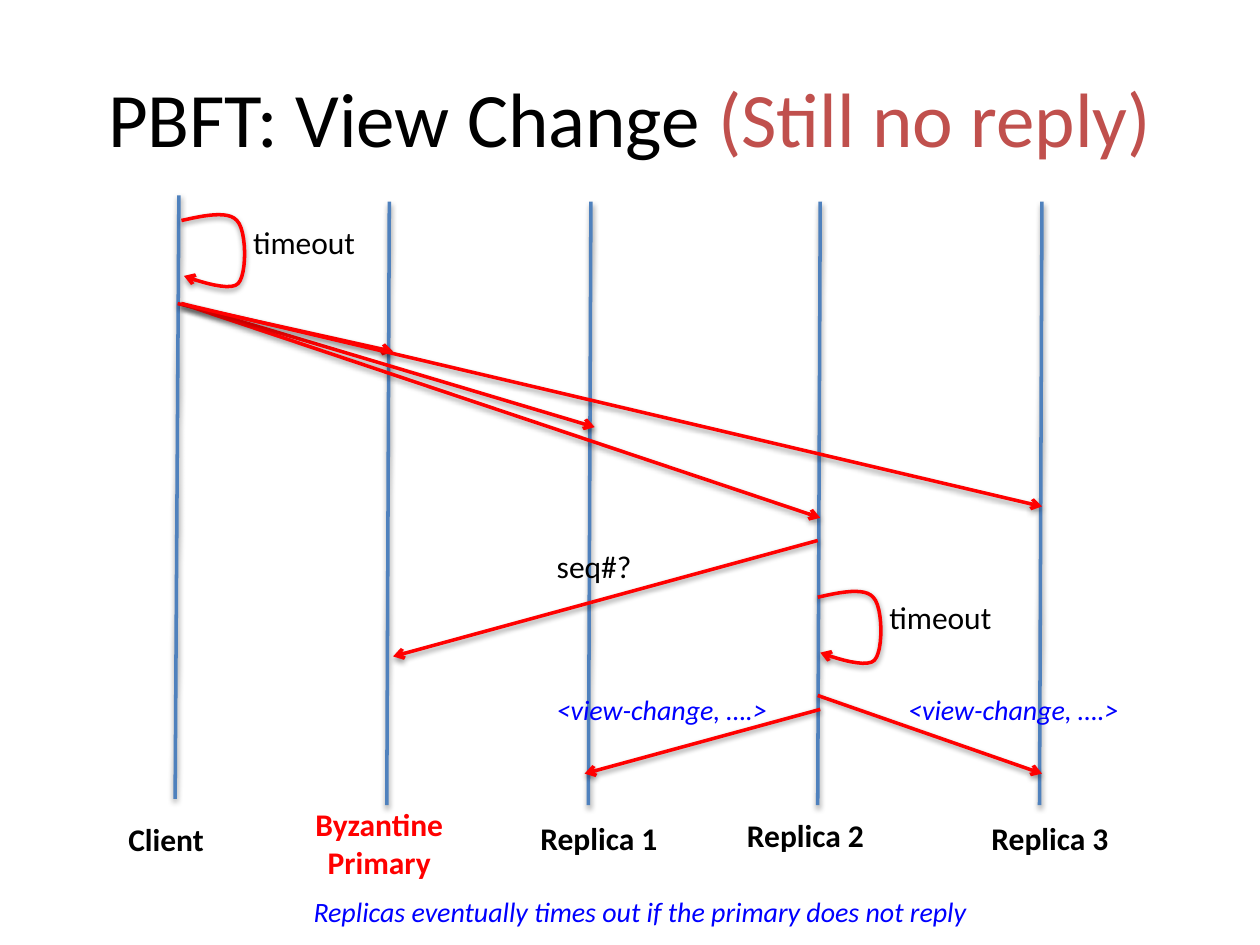
import pptx
import pptx.util
import pptx.dml.color
import pptx.enum.shapes
import pptx.enum.text
import pptx.oxml

Inches = pptx.util.Inches
Pt = pptx.util.Pt
RGBColor = pptx.dml.color.RGBColor
CENTER = pptx.enum.text.PP_ALIGN.CENTER
LEFT = pptx.enum.text.PP_ALIGN.LEFT
BLACK = RGBColor(0x00, 0x00, 0x00)
RED = RGBColor(0xFF, 0x00, 0x00)
BLUE = RGBColor(0x00, 0x00, 0xFF)
LIFELINE_BLUE = RGBColor(0x4F, 0x81, 0xBD)
TITLE_RED = RGBColor(0xC0, 0x50, 0x4D)
NS = 'xmlns:a="http://schemas.openxmlformats.org/drawingml/2006/main"'
SHADOW = (f'<a:effectLst {NS}><a:outerShdw blurRad="40000" dist="20000" dir="5400000" '
          'rotWithShape="0"><a:srgbClr val="000000"><a:alpha val="38000"/></a:srgbClr>'
          '</a:outerShdw></a:effectLst>')

presentation = pptx.Presentation()
presentation.slide_width = Inches(10)
presentation.slide_height = Inches(7.5)
slide = presentation.slides.add_slide(presentation.slide_layouts[6])


def style_line(shape, color, arrow):
    shape.line.color.rgb = color
    shape.line.width = Pt(2)
    if arrow:
        shape.line._get_or_add_ln().append(
            pptx.oxml.parse_xml(f'<a:tailEnd {NS} type="arrow"/>'))
    shape._element.spPr.append(pptx.oxml.parse_xml(SHADOW))


def add_text(box, paragraphs, font, align=LEFT, wrap=False):
    shape = slide.shapes.add_textbox(*[Inches(length) for length in box])
    frame = shape.text_frame
    frame.word_wrap = wrap
    for index, runs in enumerate(paragraphs):
        paragraph = frame.add_paragraph() if index else frame.paragraphs[0]
        paragraph.alignment = align
        for text, color in runs:
            run = paragraph.add_run()
            run.text = text
            run.font.name = "Calibri"
            run.font.color.rgb = color
            for name, value in font.items():
                setattr(run.font, name, value)
    return frame


title = add_text((0.5, 0.3, 9, 1.25),
                 [[("PBFT: View Change ", BLACK), ("(Still no reply)", TITLE_RED)]],
                 {"size": Pt(44)}, CENTER, True)
title.vertical_anchor = pptx.enum.text.MSO_ANCHOR.MIDDLE

lifelines = [(x, 1.6, x - 0.02, 6.39) for x in (3.09, 4.69, 6.51, 8.27)]
lifelines.append((1.42, 1.55, 1.39, 6.34))
messages = [
    (1.41, 2.41, 3.12, 2.79),
    (1.44, 2.41, 4.72, 3.39),
    (1.44, 2.41, 6.51, 4.11),
    (1.44, 2.41, 8.27, 4.02),
    (6.49, 4.29, 3.12, 5.21),
    (6.51, 5.63, 4.64, 6.14),
    (6.49, 5.52, 8.27, 6.14),
]
for lines, color, arrow in ((lifelines, LIFELINE_BLUE, False), (messages, RED, True)):
    for ends in lines:
        connector = slide.shapes.add_connector(
            pptx.enum.shapes.MSO_CONNECTOR.STRAIGHT, *[Inches(end) for end in ends])
        style_line(connector, color, arrow)

loop_curves = [
    ((0, 0.05), (0.18, 0.01), (0.37, -0.03), (0.44, 0.05)),
    ((0.44, 0.05), (0.52, 0.13), (0.52, 0.48), (0.45, 0.55)),
    ((0.45, 0.55), (0.38, 0.63), (0.02, 0.49), (0.02, 0.49)),
]
STEPS = 12
for left, top in ((1.44, 1.7), (6.49, 4.69)):
    points = []
    for curve in loop_curves:
        for step in range(1, STEPS + 1):
            t = step / STEPS
            weights = ((1 - t) ** 3, 3 * t * (1 - t) ** 2, 3 * t * t * (1 - t), t ** 3)
            x, y = [sum(w * point[axis] for w, point in zip(weights, curve))
                    for axis in (0, 1)]
            points.append((Inches(left + x), Inches(top + y)))
    builder = slide.shapes.build_freeform(Inches(left), Inches(top + 0.05))
    builder.add_line_segments(points, close=False)
    timeout_loop = builder.convert_to_shape()
    timeout_loop.fill.background()
    style_line(timeout_loop, RED, True)

bold = {"size": Pt(18), "bold": True}
plain = {"size": Pt(18)}
italic = {"size": Pt(16), "italic": True}
labels = [
    ((0.92, 6.46, 0.81, 0.4), "Client", BLACK, bold),
    ((4.19, 6.45, 1.15, 0.4), "Replica 1", BLACK, bold),
    ((5.83, 6.43, 1.15, 0.4), "Replica 2", BLACK, bold),
    ((7.77, 6.45, 1.15, 0.4), "Replica 3", BLACK, bold),
    ((1.91, 1.72, 1.02, 0.4), "timeout", BLACK, plain),
    ((6.96, 4.7, 1.02, 0.4), "timeout", BLACK, plain),
    ((4.32, 4.29, 0.82, 0.4), "seq#?", BLACK, plain),
    ((4.32, 5.45, 1.95, 0.37), "<view-change, ….>", BLUE, italic),
    ((7.11, 5.45, 1.95, 0.37), "<view-change, ….>", BLUE, italic),
    ((2.39, 7.05, 5.53, 0.37),
     "Replicas eventually times out if the primary does not reply", BLUE, italic),
]
for box, text, color, font in labels:
    add_text(box, [[(text, color)]], font)
add_text((2.39, 6.34, 1.24, 0.71), [[("Byzantine", RED)], [("Primary", RED)]], bold, CENTER)

presentation.save("out.pptx")
